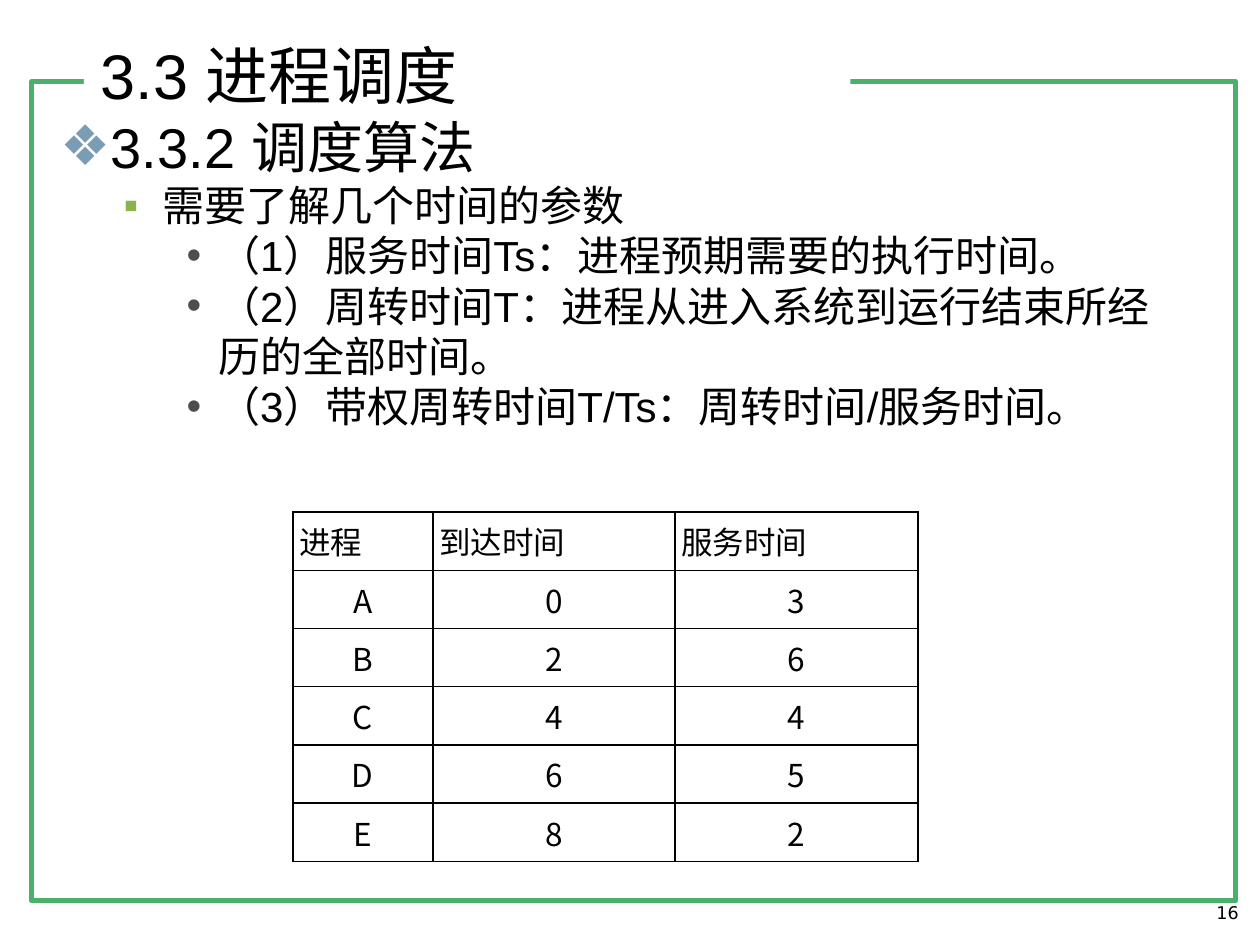
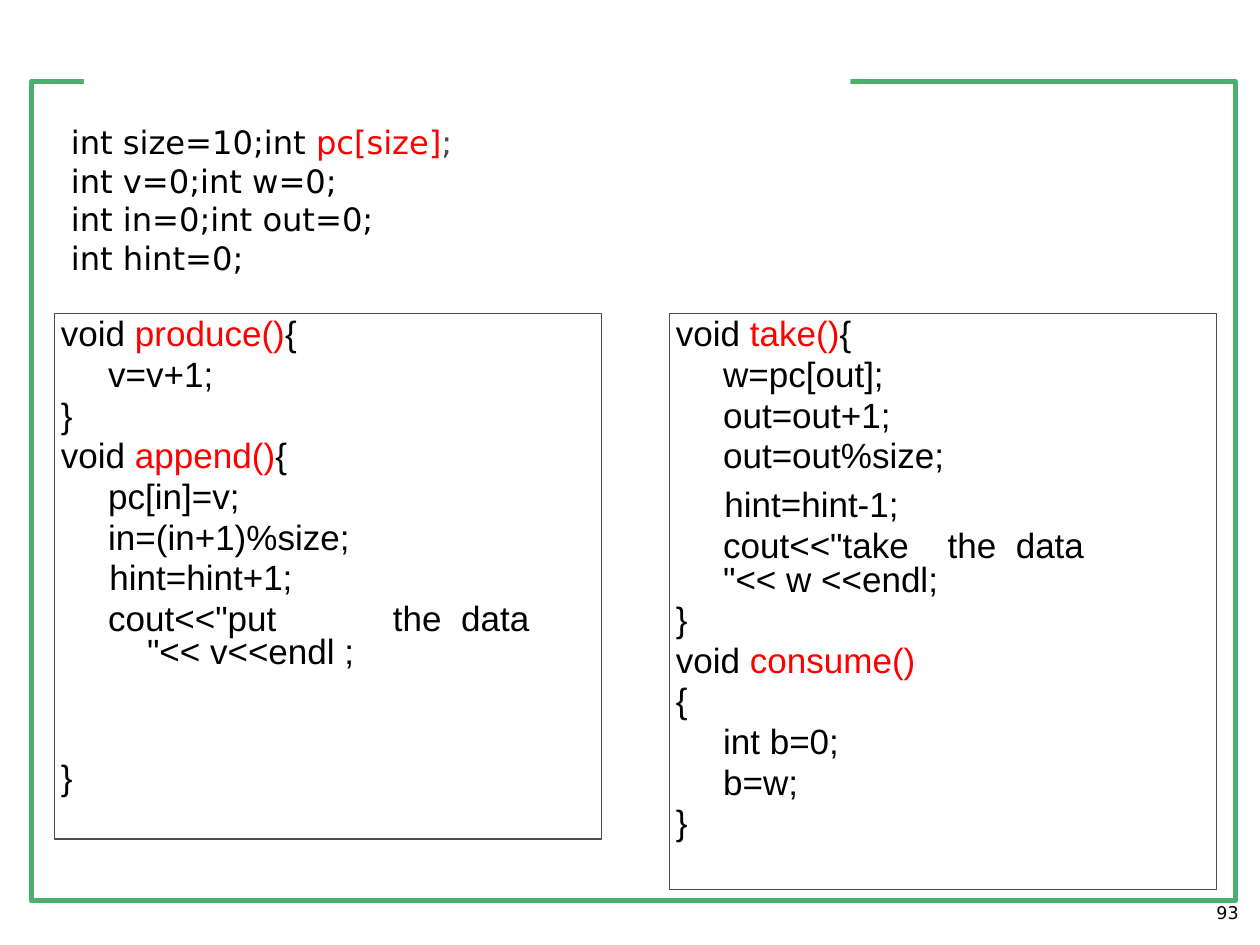
"""Build two slides: scheduling time parameters and a producer/consumer listing."""
import pptx
import pptx.dml.color
import pptx.enum.shapes
import pptx.enum.text
import pptx.oxml
import pptx.oxml.ns
import pptx.util

Pt = pptx.util.Pt
Align = pptx.enum.text.PP_ALIGN
Anchor = pptx.enum.text.MSO_ANCHOR
NS = pptx.oxml.ns.nsdecls("a")
BLACK, RED, GREY, GREEN = "000000", "FF0000", "4D4D4D", "4CB06D"
CJK = "Noto Sans CJK SC"


def tint(code):
    return pptx.dml.color.RGBColor.from_string(code)


def fill(box, area, lines, size, face, hues=(BLACK, RED, BLACK), anchor=Anchor.TOP):
    """Place a box and write its lines; "|" starts a run in the next hue."""
    box.left, box.top, box.width, box.height = [Pt(n) for n in area]
    frame = box.text_frame
    frame.text = "\n".join(lines)
    frame.word_wrap = True
    frame.auto_size = pptx.enum.text.MSO_AUTO_SIZE.NONE
    frame.vertical_anchor = anchor
    frame.margin_left = frame.margin_right = Pt(3.6)
    frame.margin_top = frame.margin_bottom = Pt(3.6)
    for par, line in zip(frame.paragraphs, lines):
        par.text = ""
        par.alignment = Align.LEFT
        par.space_before = Pt(0)
        for part, hue in zip(line.split("|"), hues):
            run = par.add_run()
            run.text = part
            run.font.size = Pt(size)
            run.font.name = face
            run.font.color.rgb = tint(hue)
            ea = pptx.oxml.parse_xml(f'<a:ea {NS} typeface="{CJK}"/>')
            run.font._element.find(pptx.oxml.ns.qn("a:latin")).addnext(ea)
    return frame.paragraphs


deck = pptx.Presentation()
deck.slide_width, deck.slide_height = Pt(720), Pt(540)
times = deck.slides.add_slide(deck.slide_layouts[1])
code = deck.slides.add_slide(deck.slide_layouts[3])

rect = pptx.enum.shapes.MSO_SHAPE.RECTANGLE
frame = times.shapes.add_shape(rect, Pt(18), Pt(46.8), Pt(688), Pt(468))
frame.fill.background()
frame.line.color.rgb = tint(GREEN)
frame.line.width = Pt(3)
gap = times.shapes.add_shape(rect, Pt(48), Pt(15.1), Pt(438), Pt(85.7))
gap.fill.solid()
gap.fill.fore_color.rgb = tint("FFFFFF")
gap.line.fill.background()
for spot, part in enumerate([frame, gap], 2):
    part.shadow.inherit = False
    part.element.nvSpPr.cNvPr.set("id", str(100 + spot))
    deck.slide_master.shapes.element.insert(spot, part.element)

for slide, page in [(times, "16"), (code, "93")]:
    box = slide.shapes.add_textbox(0, 0, 0, 0)
    pars = fill(box, (543.6, 511.9, 167.8, 19.4), [page], 10, "DejaVu Sans")
    pars[0].alignment = Align.RIGHT

fill(times.shapes.title, (54, 14, 442, 56.9), ["3.3 进程调度"], 36, "Arial",
     anchor=Anchor.MIDDLE)

points = [
    (0, "3.3.2 调度算法"),
    (1, "需要了解几个时间的参数"),
    (2, "（1）服务时间Ts：进程预期需要的执行时间。"),
    (2, "（2）周转时间T：进程从进入系统到运行结束所经历的全部时间。"),
    (2, "（3）带权周转时间T/Ts：周转时间/服务时间。"),
]
marks = [("❖", "7B9CB5", 27, 27), ("▪", "8BB44E", 58.5, 22.5), ("•", GREY, 90, 18)]
pars = fill(times.placeholders[1], (31, 60.5, 647.3, 435.6), [text for _, text in points],
            24, "Arial")
for par, (level, _) in zip(pars, points):
    sign, hue, left, hang = marks[level]
    par.level = level
    par.line_spacing = 1.0
    props = par._p.get_or_add_pPr()
    props.set("marL", str(Pt(left)))
    props.set("indent", str(-Pt(hang)))
    props.append(pptx.oxml.parse_xml(
        f'<a:buClr {NS}><a:srgbClr val="{hue}"/></a:buClr>'))
    props.append(pptx.oxml.parse_xml(f'<a:buChar {NS} char="{sign}"/>'))
pars[0].runs[0].font.size = Pt(32)

rows = [("进程", "到达时间", "服务时间"), ("A", "0", "3"), ("B", "2", "6"),
        ("C", "4", "4"), ("D", "6", "5"), ("E", "8", "2")]
grid = times.shapes.add_table(6, 3, Pt(167.3), Pt(292.6), Pt(357.3), Pt(187.2)).table
grid.first_row = grid.horz_banding = False
for col, wide in zip(grid.columns, (80, 138.5, 138.8)):
    col.width = Pt(wide)
for r, row in enumerate(rows):
    for c, text in enumerate(row):
        cell = grid.cell(r, c)
        cell.text = text
        cell.margin_left = cell.margin_right = Pt(3.6)
        cell.margin_top = cell.margin_bottom = Pt(3.6)
        par = cell.text_frame.paragraphs[0]
        par.alignment = Align.CENTER if r else Align.JUSTIFY
        font = par.runs[0].font
        font.size = Pt(18)
        font.name = CJK
        font.color.rgb = tint(BLACK)
        ea = pptx.oxml.parse_xml(f'<a:ea {NS} typeface="{CJK}"/>')
        font._element.find(pptx.oxml.ns.qn("a:latin")).addnext(ea)
        props = cell._tc.get_or_add_tcPr()
        for side in ("lnL", "lnR", "lnT", "lnB"):
            props.append(pptx.oxml.parse_xml(
                f'<a:{side} {NS} w="{Pt(1)}"><a:solidFill>'
                f'<a:srgbClr val="{BLACK}"/></a:solidFill></a:{side}>'))
        cell.fill.background()

decl = ["int size=10;int |pc[size]|;", "int v=0;int w=0;", "int in=0;int out=0;",
        "int hint=0;"]
fill(code.shapes.title, (36.9, 65.9, 396.7, 96.5), decl, 18.4, "DejaVu Sans",
     (BLACK, RED, GREY), Anchor.MIDDLE)

maker = ["void |produce()|{", "\tv=v+1;", "}", "void |append()|{", "\tpc[in]=v;",
         "\tin=(in+1)%size;", "     hint=hint+1;",
         '\tcout<<"put            the  data           "<< v<<endl ;', "}"]
taker = ["void |take()|{", "\tw=pc[out];", "\tout=out+1;", "\tout=out%size;",
         "     hint=hint-1;", '\tcout<<"take    the  data           "<< w <<endl;',
         "}", "void |consume()", "{", "\tint b=0;", "\tb=w;", "}"]
for spot, left, high, lines in [(1, 31.2, 300.2, maker), (2, 382.6, 329, taker)]:
    box = code.placeholders[spot]
    pars = fill(box, (left, 179.3, 312.6, high), lines, 20, "Arial")
    box.line.color.rgb = tint(GREY)
    box.line.width = Pt(0.75)
    for i, par in enumerate(pars):
        par.line_spacing = 0.8
        par.space_before = Pt(4 if i else 0)
        props = par._p.get_or_add_pPr()
        props.set("marL", str(Pt(27)))
        props.set("indent", str(-Pt(27)))
        props.append(pptx.oxml.parse_xml(f"<a:buNone {NS}/>"))
    if lines is maker:
        pars[-1].space_before = Pt(52.5)
    else:
        pars[4].line_spacing = 1.0

deck.save("out.pptx")
